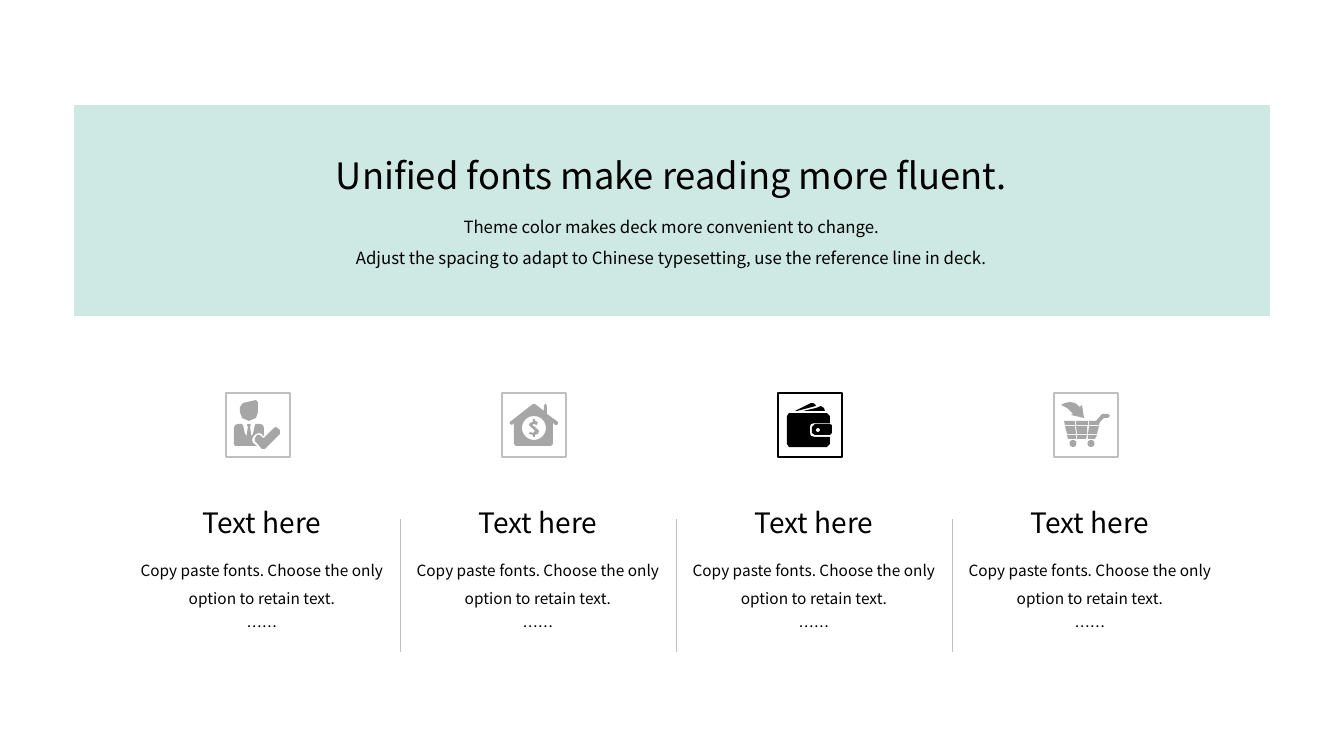
from math import cos, pi, sin

from lxml.etree import SubElement
from pptx import Presentation
from pptx.dml.color import RGBColor as RGB
from pptx.enum.shapes import MSO_CONNECTOR as Connector, MSO_SHAPE as Shape
from pptx.enum.text import MSO_ANCHOR as Anchor, MSO_AUTO_SIZE as AutoSize, PP_ALIGN as Align
from pptx.oxml.ns import qn
from pptx.util import Emu, Pt

PX = 914400 / 100.8
THEME = {
    "font": "Noto Sans CJK SC",
    "text": RGB(0x00, 0x00, 0x00),
    "band": RGB(0xCE, 0xE8, 0xE4),
    "rule": RGB(0xBF, 0xBF, 0xBF),
    "icon": RGB(0xA6, 0xA6, 0xA6),
    "title_size": Pt(25.9),
    "subtitle_size": Pt(12),
    "heading_size": Pt(20),
    "body_size": Pt(11),
}


def px(*lengths):
    return [Emu(round(length * PX)) for length in lengths]


def write(box, lines, size, anchor=Anchor.TOP, spacing=1.0):
    """Fill a text box or placeholder with centred paragraphs."""
    frame = box.text_frame
    frame.text = "\n".join(lines)
    frame_format = {"word_wrap": True, "auto_size": AutoSize.NONE, "vertical_anchor": anchor}
    for name, value in frame_format.items():
        setattr(frame, name, value)
    for paragraph in frame.paragraphs:
        paragraph.alignment = Align.CENTER
        paragraph.line_spacing = spacing
        for run in paragraph.runs:
            for name, value in {"name": THEME["font"], "size": size}.items():
                setattr(run.font, name, value)
            run.font.color.rgb = THEME["text"]


# Icon outlines in px from the corner of their frame; inner outlines cut holes.
# A circle is given as (centre x, centre y, radius).
customer = [
    [(50, 34), (54, 37), (54, 41), (39, 56), (36, 56), (29, 48), (29, 45), (31, 42),
     (34, 42), (37, 45), (38, 45), (48, 35)],
    [(12, 31), (16, 31), (17, 32), (19, 41), (21, 43), (21, 40), (22, 34), (21, 32),
     (22, 31), (24, 31), (25, 32), (24, 34), (25, 40), (25, 43), (27, 41), (29, 32),
     (30, 31), (34, 31), (37, 32), (38, 35), (38, 42), (37, 43), (36, 41), (33, 40),
     (30, 41), (27, 44), (26, 47), (27, 50), (31, 53), (9, 53), (8, 51), (8, 35), (9, 32)],
    [(30, 7), (32, 9), (32, 19), (30, 25), (23, 28), (16, 25), (14, 19), (14, 14), (17, 10)],
]
house = [
    [(32, 11), (33, 11), (42, 18), (42, 13), (43, 11), (44, 11), (45, 13), (45, 21),
     (56, 29), (56, 31), (55, 32), (53, 32), (51, 30), (51, 51), (49, 53), (14, 53),
     (12, 51), (12, 30), (10, 32), (8, 31), (8, 29), (31, 11)],
    (32, 35, 12),
    [(31, 26), (33, 26), (33, 28), (36, 29), (35, 32), (32, 31), (30, 32), (33, 34),
     (37, 38), (36, 41), (33, 42), (33, 44), (31, 44), (31, 42), (27, 41), (28, 39),
     (31, 40), (33, 38), (31, 36), (27, 32), (28, 30), (31, 29)],
]
wallet = [
    [(11, 20), (49, 20), (52, 23), (52, 30), (37, 30), (33, 31), (32, 34), (32, 40),
     (33, 43), (37, 44), (52, 44), (52, 51), (49, 54), (11, 54), (9, 51), (9, 23)],
    [(37, 31), (52, 31), (54, 32), (54, 40), (52, 42), (37, 42), (34, 40), (34, 34)],
    (40, 37, 2),
    [(43, 13), (46, 15), (47, 18), (25, 18), (38, 15)],
    [(35, 10), (37, 11), (38, 13), (19, 18), (17, 18), (33, 10)],
]
cart = [
    (37, 50.5, 3.5),
    (19, 50.5, 3.5),
    [(34, 42), (43, 42), (41, 46), (34, 46)],
    [(23, 42), (33, 42), (32, 46), (23, 46)],
    [(13, 42), (22, 42), (22, 46), (14, 46)],
    [(35, 33), (45, 33), (43, 41), (34, 41)],
    [(22, 33), (33, 33), (33, 41), (23, 41)],
    [(11, 33), (21, 33), (22, 41), (13, 41)],
    [(22, 28), (34, 28), (34, 32), (22, 32)],
    [(10, 28), (21, 28), (21, 32), (11, 32)],
    [(49, 21), (54, 21), (56, 23), (54, 25), (50, 25), (46, 29), (45, 32), (35, 32),
     (35, 28), (42, 28), (48, 21)],
    [(16, 9), (21, 10), (26, 14), (28, 12), (30, 25), (17, 22), (19, 21), (13, 15),
     (7, 12), (11, 10)],
]

prs = Presentation()
prs.slide_width, prs.slide_height = px(1344, 756)
slide = prs.slides.add_slide(prs.slide_layouts[5])
shapes = slide.shapes

band = shapes.add_shape(Shape.RECTANGLE, *px(74, 105, 1196, 211))
band.shadow.inherit = False
band.fill.solid()
band.fill.fore_color.rgb = THEME["band"]
band.line.fill.background()

title = shapes.title
band.element.addnext(title.element)
title.left, title.top, title.width, title.height = px(292, 135, 759, 67)
write(title, ["Unified fonts make reading more fluent."], THEME["title_size"], Anchor.BOTTOM)

subtitle = shapes.add_textbox(*px(292, 202, 759, 84))
write(subtitle, [
    "Theme color makes deck more convenient to change.",
    "Adjust the spacing to adapt to Chinese typesetting, use the reference line in deck.",
], THEME["subtitle_size"], spacing=1.5)

COLUMN_PITCH = 276
for column, icon in enumerate([customer, house, wallet, cart]):
    offset = column * COLUMN_PITCH
    highlighted = icon is wallet

    frame = shapes.add_shape(Shape.RECTANGLE, *px(226 + offset, 393, 64, 64))
    frame.shadow.inherit = False
    frame.fill.background()
    frame.line.color.rgb = THEME["text" if highlighted else "rule"]
    frame.line.width = Pt(1.5)

    outlines = []
    for outline in icon:
        if isinstance(outline, tuple):
            x, y, radius = outline
            angles = [step * pi / 16 for step in range(32)]
            outline = [(x + radius * cos(a), y + radius * sin(a)) for a in angles]
        outlines.append([px(*point) for point in outline])
    builder = shapes.build_freeform(*outlines[0][0])
    for number, (start, *rest) in enumerate(outlines):
        if number:
            builder.move_to(*start)
        builder.add_line_segments(rest, close=True)
    symbol = builder.convert_to_shape(*px(226 + offset, 393))
    symbol.shadow.inherit = False
    symbol.fill.solid()
    symbol.fill.fore_color.rgb = THEME["text" if highlighted else "icon"]
    symbol.line.fill.background()

    heading = shapes.add_textbox(*px(121 + offset, 500, 282, 45))
    write(heading, ["Text here"], THEME["heading_size"], Anchor.MIDDLE)
    body = shapes.add_textbox(*px(121 + offset, 547, 282, 93))
    write(body, ["Copy paste fonts. Choose the only option to retain text.", "……"],
          THEME["body_size"], spacing=1.5)

    if column:
        x = 124 + offset
        divider = shapes.add_connector(Connector.STRAIGHT, *px(x, 519, x, 652))
        divider.line.color.rgb = THEME["rule"]
        divider.line.width = Pt(0.25)
        SubElement(divider.element.spPr, qn("a:effectLst"))

prs.save("out.pptx")
